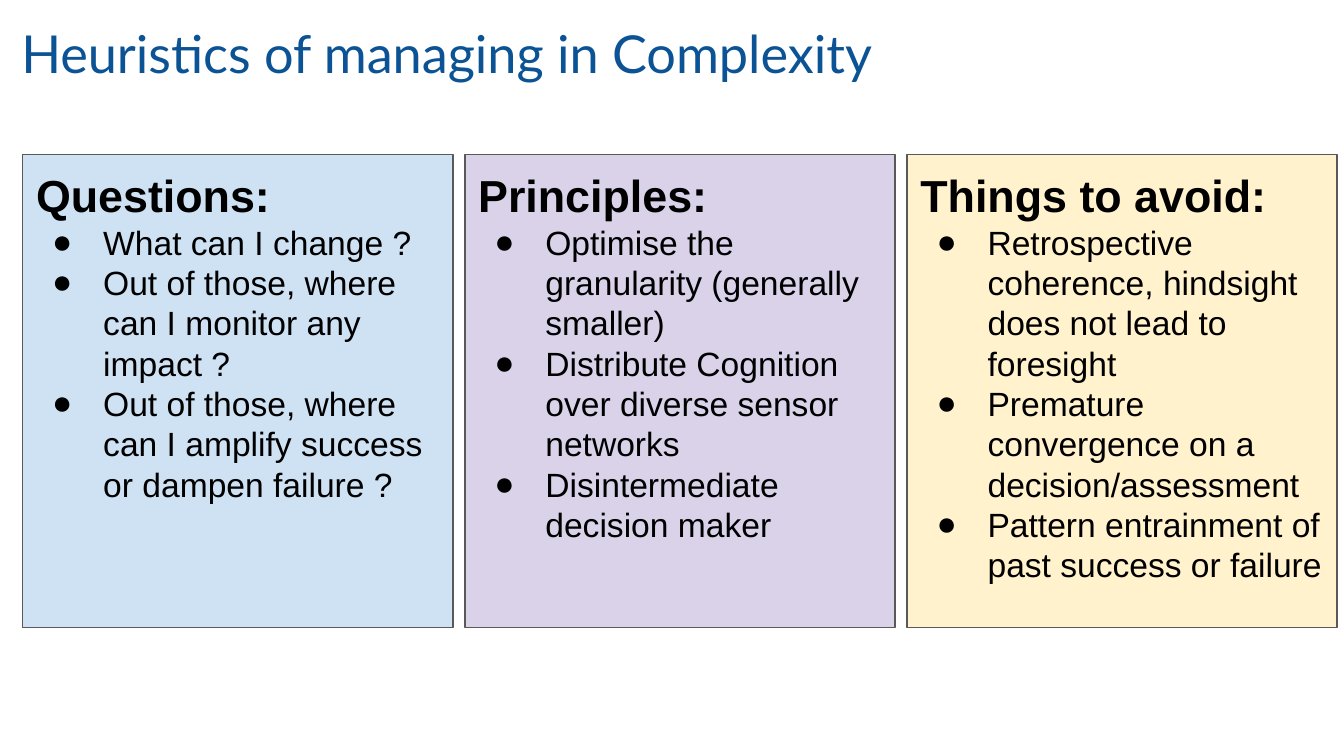
from dataclasses import dataclass

from lxml import etree
from pptx import Presentation
from pptx.dml.color import RGBColor
from pptx.enum.shapes import MSO_SHAPE
from pptx.enum.text import MSO_ANCHOR, PP_ALIGN
from pptx.oxml.ns import qn
from pptx.util import Inches, Pt

RECT = MSO_SHAPE.RECTANGLE
TOP = MSO_ANCHOR.TOP
LEFT = PP_ALIGN.LEFT


@dataclass(frozen=True)
class Theme:
    title: str = "0B5394"
    text: str = "000000"
    line: str = "595959"
    blue: str = "CFE2F3"
    purple: str = "D9D2E9"
    yellow: str = "FFF2CC"
    title_font: str = "Lato"
    body_font: str = "Arial"
    title_size: int = 28
    heading_size: int = 24
    body_size: int = 18


THEME = Theme()

CARDS = [
    ("Questions:", THEME.blue, [
        "What can I change ?",
        "Out of those, where can I monitor any impact ?",
        "Out of those, where can I amplify success or dampen failure ?",
    ]),
    ("Principles:", THEME.purple, [
        "Optimise the granularity (generally smaller)",
        "Distribute Cognition over diverse sensor networks",
        "Disintermediate decision maker",
    ]),
    ("Things to avoid:", THEME.yellow, [
        "Retrospective coherence, hindsight does not lead to foresight",
        "Premature convergence on a decision/assessment",
        "Pattern entrainment of past success or failure",
    ]),
]


def rgb(value):
    return RGBColor.from_string(value)


def set_frame(tf):
    tf.word_wrap = True
    tf.vertical_anchor = TOP
    tf.margin_left = tf.margin_right = Inches(0.1)
    tf.margin_top = tf.margin_bottom = Inches(0.1)


def add_bullet(p):
    pPr = p._p.get_or_add_pPr()
    pPr.set("marL", str(Inches(0.5)))
    pPr.set("indent", str(Inches(-0.38)))
    color = etree.SubElement(pPr, qn("a:buClr"))
    etree.SubElement(color, qn("a:srgbClr"), val=THEME.text)
    etree.SubElement(pPr, qn("a:buFont"), typeface=THEME.body_font)
    etree.SubElement(pPr, qn("a:buChar"), char="●")


def write(p, text, size=THEME.body_size, font=THEME.body_font,
          color=THEME.text, bold=False, bullet=False):
    p.alignment = LEFT
    if bullet:
        add_bullet(p)
    r = p.add_run()
    r.text = text
    r.font.name = font
    r.font.size = Pt(size)
    r.font.bold = bold
    r.font.color.rgb = rgb(color)


def add_title(s, text):
    sp = s.shapes.add_textbox(Inches(0.06), Inches(0.06),
                              Inches(7.65), Inches(0.63))
    set_frame(sp.text_frame)
    write(sp.text_frame.paragraphs[0], text, size=THEME.title_size,
          font=THEME.title_font, color=THEME.title)


def add_card(s, left, heading, fill, items):
    sp = s.shapes.add_shape(RECT, Inches(left), Inches(1.15),
                            Inches(3.2), Inches(3.52))
    sp.shadow.inherit = False
    sp.fill.solid()
    sp.fill.fore_color.rgb = rgb(fill)
    sp.line.color.rgb = rgb(THEME.line)
    sp.line.width = Pt(0.75)

    tf = sp.text_frame
    set_frame(tf)
    write(tf.paragraphs[0], heading, size=THEME.heading_size, bold=True)
    for item in items:
        write(tf.add_paragraph(), item, bullet=True)


def main():
    prs = Presentation()
    # Widescreen, 16:9
    prs.slide_width = Inches(10)
    prs.slide_height = Inches(10) * 9 // 16
    s = prs.slides.add_slide(prs.slide_layouts[6])

    # Title
    add_title(s, "Heuristics of managing in Complexity")

    # Three cards, evenly spaced
    first, pitch = 0.17, 3.29
    for i, (heading, fill, items) in enumerate(CARDS):
        add_card(s, first + i * pitch, heading, fill, items)

    prs.save("out.pptx")


if __name__ == "__main__":
    main()
